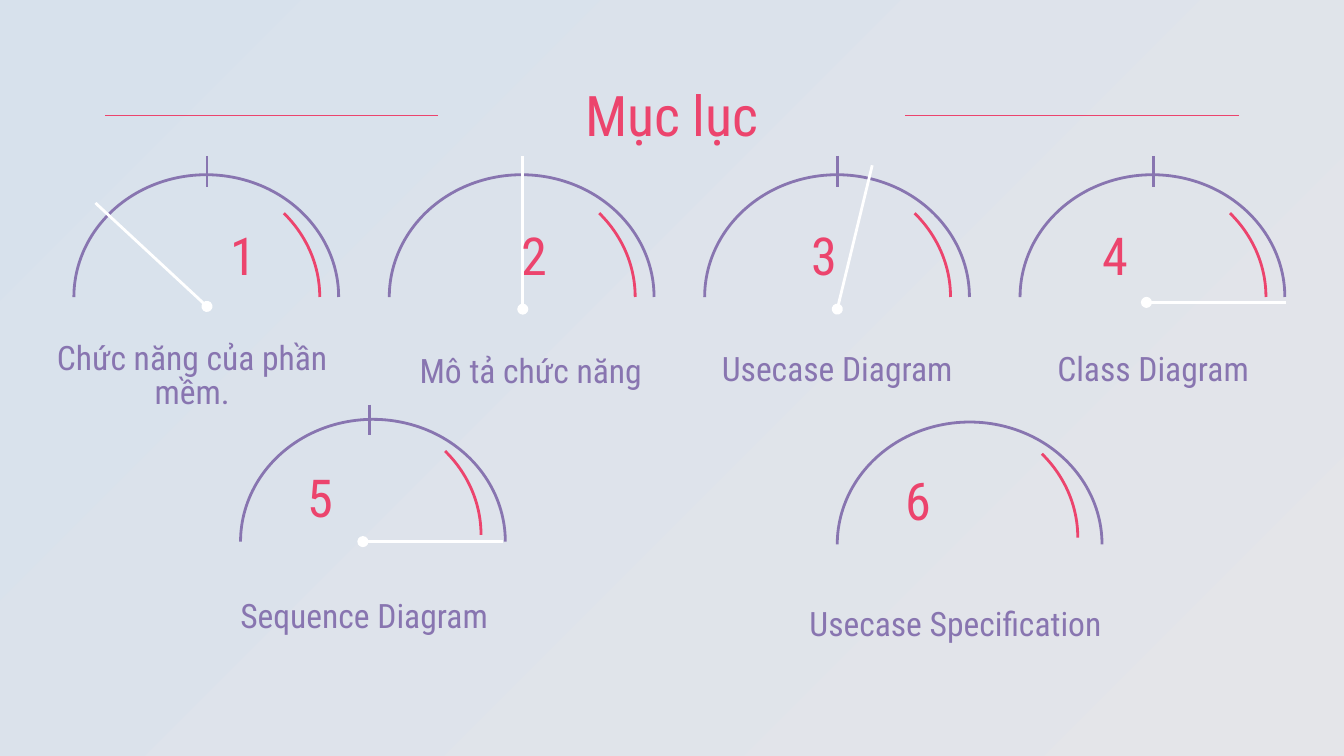
from pptx import Presentation
from pptx.dml.color import RGBColor
from pptx.enum.shapes import MSO_CONNECTOR, MSO_SHAPE
from pptx.enum.text import MSO_ANCHOR, PP_ALIGN
from pptx.oxml.ns import qn
from pptx.util import Inches, Pt
from lxml.etree import SubElement

PINK = RGBColor(0xEC, 0x44, 0x6D)
PURPLE = RGBColor(0x88, 0x75, 0xB0)
WHITE = RGBColor(0xFF, 0xFF, 0xFF)
BG_START = RGBColor(0xE4, 0xE5, 0xE9)
BG_END = RGBColor(0xD7, 0xE1, 0xEC)
FONT = "Roboto Condensed"
ARC_W, ARC_H = 1.97, 1.82
HALF_TURN, RED_START = 107.99, 191.41  # arc start angles


def write(tf, text, size=18, color=PURPLE, spacing=None, margin=0.1):
    tf.word_wrap = True
    tf.vertical_anchor = MSO_ANCHOR.MIDDLE
    tf.margin_left = tf.margin_right = Inches(margin)
    tf.margin_top = tf.margin_bottom = Inches(0.1)
    p = tf.paragraphs[0]
    p.alignment = PP_ALIGN.CENTER
    if spacing:
        p.line_spacing = spacing
    r = p.add_run()
    r.text = text
    r.font.name, r.font.size, r.font.color.rgb = FONT, Pt(size), color


class Deck:
    def __init__(self, slide):
        self.s = slide

    def background(self):
        fill = self.s.background.fill
        fill.gradient()
        fill.gradient_angle = 135
        for stop, color in zip(fill.gradient_stops, (BG_START, BG_END)):
            stop.color.rgb = color

    def text(self, x, y, w, h, text, **fmt):
        box = self.s.shapes.add_textbox(Inches(x), Inches(y), Inches(w), Inches(h))
        write(box.text_frame, text, **fmt)

    def line(self, x1, y1, x2, y2, color, width=1.5, dot=False):
        c = self.s.shapes.add_connector(
            MSO_CONNECTOR.STRAIGHT, Inches(x1), Inches(y1), Inches(x2), Inches(y2))
        c.line.color.rgb, c.line.width = color, Pt(width)
        if dot:
            SubElement(c.line._get_or_add_ln(), qn("a:headEnd"), type="oval")
        SubElement(c._element.spPr, qn("a:effectLst"))

    def arc(self, x, y, start, color):
        sp = self.s.shapes.add_shape(
            MSO_SHAPE.ARC, Inches(x), Inches(y), Inches(ARC_W), Inches(ARC_H))
        sp.shadow.inherit = False
        sp.adjustments[0], sp.adjustments[1] = start, 0
        sp.fill.background()
        sp.line.color.rgb, sp.line.width = color, Pt(1.5)

    def gauge(self, x, y, red_dx, red_dy, tick=None, needle=None):
        self.arc(x, y, HALF_TURN, PURPLE)
        self.arc(x + red_dx, y + red_dy, RED_START, PINK)
        if tick:
            dx, dy = tick
            self.line(x + dx, y + dy, x + dx, y + dy + 0.23, PURPLE)
        if needle:
            self.line(*needle, WHITE, dot=True)

    def number(self, x, y, text, margin=0.1):
        self.text(x, y, 0.58, 0.47, text, size=28, color=PINK, margin=margin)

    def label(self, x, y, w, h, text):
        self.text(x, y, w, h, text, spacing=0.85)


def main():
    prs = Presentation()
    prs.slide_width = Inches(10)
    prs.slide_height = prs.slide_width * 9 // 16
    deck = Deck(prs.slides.add_slide(prs.slide_layouts[6]))
    deck.background()

    # Title between two rules
    deck.text(0.78, 0.59, 8.44, 0.52, "Mục lục", size=30, color=PINK)
    for left, right in ((0.78, 3.26), (6.73, 9.22)):
        deck.line(right, 0.86, left, 0.86, PINK, width=0.75)

    # Top row: four evenly spaced gauges; the second has no tick
    top_row = [
        ((1.54, 2.28, 0.71, 1.51), (0.22, 2.31, 2.42, 0.99), "Chức năng của phần mềm."),
        ((3.89, 2.3, 3.89, 1.16), (2.75, 2.44, 2.4, 0.68), "Mô tả chức năng"),
        ((6.23, 2.3, 6.49, 1.23), (5.03, 2.42, 2.4, 0.68), "Usecase Diagram"),
        ((8.53, 2.25, 9.57, 2.25), (7.29, 2.42, 2.58, 0.68), "Class Diagram"),
    ]
    for i, (needle, label_box, name) in enumerate(top_row):
        tick = None if i == 1 else (0.99, -0.14)
        deck.gauge(0.55 + i * 7.04 / 3, 1.3, -0.14, 0, tick, needle)
        deck.number(1.52 + i * 6.49 / 3, 1.66, str(i + 1), margin=0 if i == 0 else 0.1)
        deck.label(*label_box, name)

    # Bottom row: only the first gauge has a tick and a needle
    bottom_row = [
        (1.79, 3.12, (0.96, -0.11), (2.7, 4.03, 3.74, 4.03), 2.09, (1.51, 4.26),
         "Sequence Diagram"),
        (6.23, 3.14, None, None, 6.54, (5.91, 4.32), "Usecase Specification"),
    ]
    for i, (x, y, tick, needle, num_x, label_at, name) in enumerate(bottom_row):
        deck.gauge(x, y, -0.18, -0.05, tick, needle)
        deck.number(num_x, y + 0.34, str(i + 5))
        deck.label(*label_at, 2.4, 0.68, name)

    prs.save("out.pptx")


if __name__ == "__main__":
    main()
